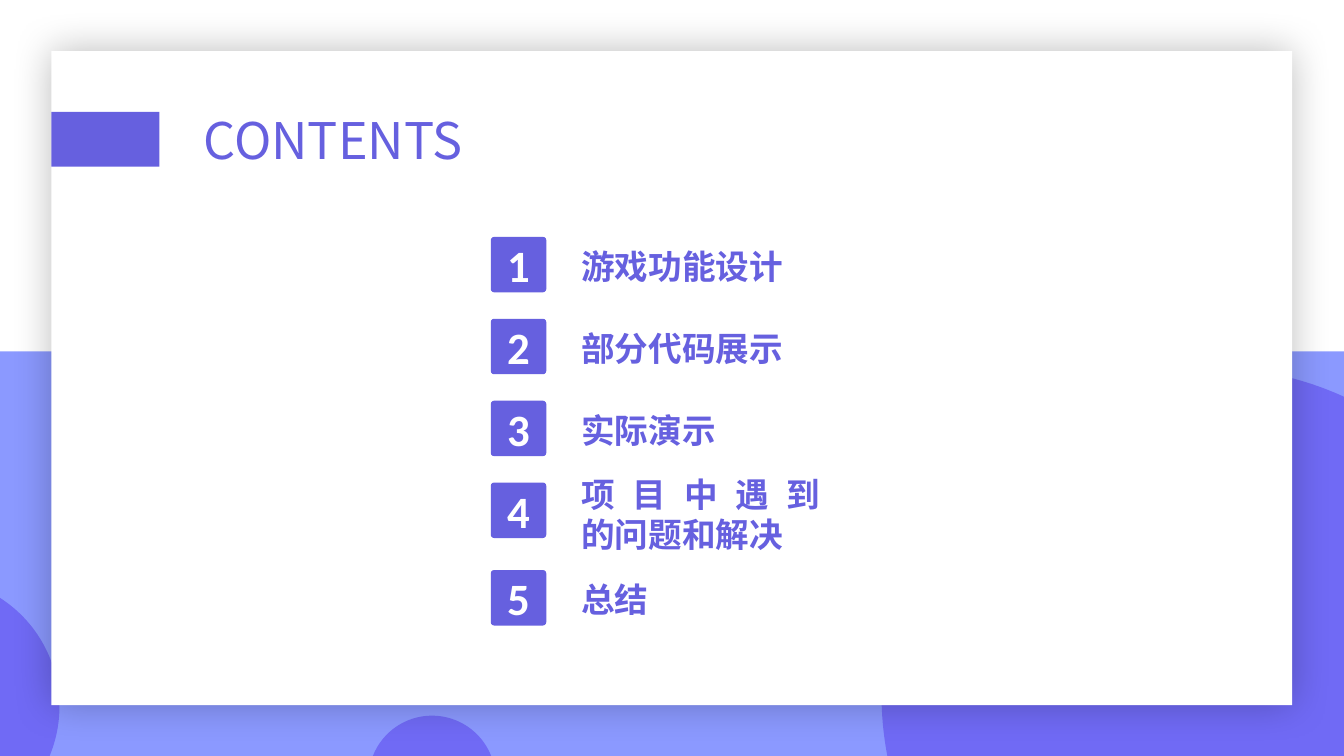
"""Build the contents slide of a project presentation."""
import dataclasses
import itertools
import math

import lxml.etree
import pptx
import pptx.dml.color
import pptx.enum.shapes
import pptx.enum.text
import pptx.oxml.ns
import pptx.util

Pt = pptx.util.Pt
SHAPES = pptx.enum.shapes.MSO_SHAPE
ALIGN = pptx.enum.text.PP_ALIGN
ANCHOR = pptx.enum.text.MSO_ANCHOR
SLIDE_WIDTH, SLIDE_HEIGHT = 960, 540


@dataclasses.dataclass(frozen=True)
class Theme:
    """Colours, fonts and type sizes of the slide."""
    white: str = "FFFFFF"
    accent: str = "6660DF"
    backdrop: str = "8B99FF"
    circle: str = "706AF5"
    shadow: str = "000000"
    text_font: str = "Noto Sans CJK SC"
    number_font: str = "Calibri"
    title_size: int = 36
    number_size: int = 32
    label_size: int = 24


THEME = Theme()
CIRCLES = [
    ((308.6, 556.6), 45.4, (201.45, 270, 338.55), []),
    ((863.3, 496), 233.6, (169.15, 180, 270, 294.45),
     [(SLIDE_WIDTH, SLIDE_HEIGHT)]),
    ((-49.7, 504.7), 92.2, (302.6, 360, 382.5), [(0, SLIDE_HEIGHT)]),
]
TOPICS = [
    ("游戏功能设计", 1),
    ("部分代码展示", 1),
    ("实际演示", 1),
    ("项 目 中 遇 到 的问题和解决", 2),
    ("总结", 1),
]


def paint(shape, color):
    """Give a shape a plain fill without outline or shadow."""
    shape.shadow.inherit = False
    shape.fill.solid()
    shape.fill.fore_color.rgb = pptx.dml.color.RGBColor.from_string(color)
    shape.line.fill.background()


def add_block(slide, kind, box, color):
    """Add a filled preset shape at box, given in points."""
    block = slide.shapes.add_shape(kind, *map(Pt, box))
    paint(block, color)
    return block


def polar(center, radius, degrees, tangent=0):
    """Return a point of a circle, moved along its tangent, in EMU."""
    angle = math.radians(degrees)
    x = center[0] + radius * (math.cos(angle) - tangent * math.sin(angle))
    y = center[1] + radius * (math.sin(angle) + tangent * math.cos(angle))
    return Pt(x), Pt(y)


def add_circle_segment(slide, center, radius, stops, corners):
    """Add a circle cut off by the slide edges, with true curves."""
    anchors = [polar(center, radius, stop) for stop in stops]
    anchors += [(Pt(x), Pt(y)) for x, y in corners]
    builder = slide.shapes.build_freeform(*anchors[0])
    builder.add_line_segments(anchors[1:], close=True)
    segment = builder.convert_to_shape()
    paint(segment, THEME.circle)
    edges = list(segment.element.iter(pptx.oxml.ns.qn("a:lnTo")))
    for edge, (start, end) in zip(edges, itertools.pairwise(stops)):
        reach = 4 / 3 * math.tan(math.radians(end - start) / 4)
        edge.tag = pptx.oxml.ns.qn("a:cubicBezTo")
        controls = (polar(center, radius, start, reach),
                    polar(center, radius, end, -reach))
        for index, (x, y) in enumerate(controls):
            edge.insert(index, lxml.etree.Element(
                pptx.oxml.ns.qn("a:pt"),
                x=str(x - segment.left), y=str(y - segment.top)))


def add_soft_shadow(shape, blur, opacity):
    """Surround a shape with an even, blurred shadow."""
    effects = shape.element.spPr.find(pptx.oxml.ns.qn("a:effectLst"))
    shadow = lxml.etree.SubElement(
        effects, pptx.oxml.ns.qn("a:outerShdw"), blurRad=str(Pt(blur)),
        dist="0", dir="0", algn="ctr", rotWithShape="0")
    color = lxml.etree.SubElement(
        shadow, pptx.oxml.ns.qn("a:srgbClr"), val=THEME.shadow)
    lxml.etree.SubElement(
        color, pptx.oxml.ns.qn("a:alpha"), val=str(opacity * 1000))


def write(shape, text, font, size, color, align, anchor, bold=False):
    """Set and format the single paragraph of a shape."""
    frame = shape.text_frame
    frame.text = text
    frame.word_wrap = True
    frame.auto_size = pptx.enum.text.MSO_AUTO_SIZE.NONE
    frame.vertical_anchor = anchor
    frame.margin_left = frame.margin_right = 0
    frame.margin_top = frame.margin_bottom = 0
    frame.paragraphs[0].alignment = align
    run = frame.paragraphs[0].runs[0]
    run.font.name = font
    run.font.size = Pt(size)
    run.font.bold = bold
    run.font.color.rgb = pptx.dml.color.RGBColor.from_string(color)
    east_asian = lxml.etree.Element(pptx.oxml.ns.qn("a:ea"), typeface=font)
    run.font._element.find(pptx.oxml.ns.qn("a:latin")).addnext(east_asian)


def add_title(slide, text, card):
    """Place the slide title on top of the card."""
    title = slide.shapes.title
    card.element.addnext(title.element)
    title.left, title.top, title.width, title.height = map(
        Pt, (121.9, 74.2, 231.8, 51.1))
    write(title, text, THEME.text_font, THEME.title_size, THEME.accent,
          ALIGN.CENTER, ANCHOR.MIDDLE)


def add_topic(slide, number, label, line_count, top):
    """Add a numbered badge with its label."""
    badge = add_block(slide, SHAPES.ROUNDED_RECTANGLE,
                      (350.6, top, 39.6, 39.6), THEME.accent)
    badge.adjustments[0] = 0.06
    write(badge, str(number), THEME.number_font, THEME.number_size,
          THEME.white, ALIGN.CENTER, ANCHOR.MIDDLE, bold=True)
    label_top = top + 6.3 - 12.8 * (line_count - 1)
    caption = slide.shapes.add_textbox(
        Pt(415.2), Pt(label_top), Pt(180), Pt(29 * line_count))
    write(caption, label, THEME.text_font, THEME.label_size, THEME.accent,
          ALIGN.JUSTIFY, ANCHOR.TOP, bold=True)
    caption.text_frame.margin_right = Pt(9)


def main():
    """Build and save the slide."""
    deck = pptx.Presentation()
    deck.slide_width, deck.slide_height = Pt(SLIDE_WIDTH), Pt(SLIDE_HEIGHT)
    slide = deck.slides.add_slide(deck.slide_layouts.get_by_name("Title Only"))

    add_block(slide, SHAPES.RECTANGLE, (0, 0, SLIDE_WIDTH, SLIDE_HEIGHT),
              THEME.backdrop)
    for circle in CIRCLES:
        add_circle_segment(slide, *circle)
    add_block(slide, SHAPES.RECTANGLE, (0, 0, SLIDE_WIDTH, 251), THEME.white)

    card = add_block(slide, SHAPES.RECTANGLE,
                     (36.7, 36.5, 886.3, 467.2), THEME.white)
    add_soft_shadow(card, blur=28, opacity=26)
    add_title(slide, "CONTENTS", card)
    add_block(slide, SHAPES.RECTANGLE, (36.7, 80, 77.2, 39.1), THEME.accent)

    top = 169.2
    for number, (label, line_count) in enumerate(TOPICS, start=1):
        add_topic(slide, number, label, line_count, top)
        top += 58.5 + 4 * (line_count - 1)

    deck.save("out.pptx")


if __name__ == "__main__":
    main()
